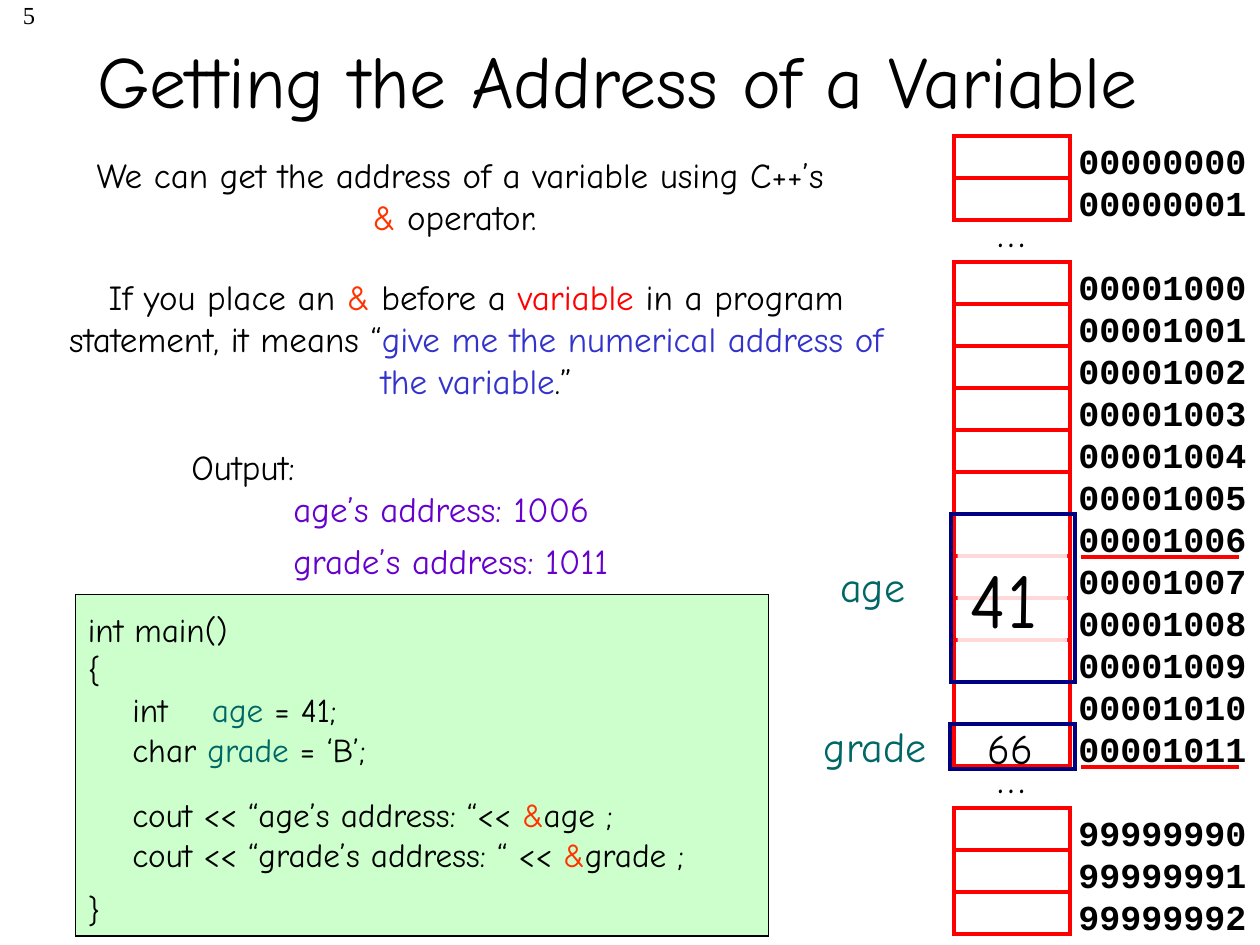
from dataclasses import dataclass

from pptx import Presentation
from pptx import util as u
from pptx.dml.color import RGBColor
from pptx.enum import shapes, text
from pptx.oxml import ns
from lxml import etree

In = u.Inches
MID = text.PP_ALIGN.CENTER
LEFT = text.PP_ALIGN.LEFT
RIGHT = text.PP_ALIGN.RIGHT


@dataclass(frozen=True)
class Theme:
    body: str = "Comic Neue"
    mono: str = "Courier New"
    serif: str = "Times New Roman"
    black: str = "000000"
    white: str = "FFFFFF"
    red: str = "FF0000"
    amp: str = "FF3300"
    blue: str = "3333CC"
    navy: str = "000080"
    teal: str = "006666"
    violet: str = "6600CC"
    mint: str = "CCFFCC"
    title: int = 42
    value: int = 44
    label: int = 24
    text: int = 20
    code: int = 19
    page: int = 14
    lead: float = 1.2
    thick: float = 2.25
    thin: float = 0.75


T = Theme()


def rgb(code):
    return RGBColor.from_string(code)


def assign(obj, vals):
    for key, val in vals.items():
        setattr(obj, key, val)


def write(slide, box, lines, size=T.text, color=T.black, font=T.body,
          bold=False, align=LEFT, wrap=True, gaps=None, **frame):
    """Each line is a string or a list of strings and (string, color) pairs."""
    item = slide.shapes.add_textbox(*map(In, box))
    body = item.text_frame
    assign(body, {"word_wrap": wrap, **frame})
    for i, line in enumerate(lines):
        para = body.paragraphs[0] if i == 0 else body.add_paragraph()
        assign(para, {"alignment": align, "line_spacing": u.Pt(size * T.lead),
                      "space_before": u.Pt((gaps or {}).get(i, 0))})
        for part in [line] if isinstance(line, str) else line:
            words, tint = (part, color) if isinstance(part, str) else part
            run = para.add_run()
            run.text = words
            assign(run.font, {"name": font, "size": u.Pt(size), "bold": bold})
            run.font.color.rgb = rgb(tint)
    return item


def rect(slide, box, line, width=T.thick, fill=None):
    item = slide.shapes.add_shape(shapes.MSO_SHAPE.RECTANGLE, *map(In, box))
    item.shadow.inherit = False
    if fill:
        item.fill.solid()
        item.fill.fore_color.rgb = rgb(fill)
    else:
        item.fill.background()
    item.line.color.rgb = rgb(line)
    item.line.width = u.Pt(width)
    edge = item._element.spPr.find(ns.qn("a:ln"))
    etree.SubElement(edge, ns.qn("a:miter"), lim="800000")


def rule(slide, x, y, w):
    item = slide.shapes.add_connector(shapes.MSO_CONNECTOR.STRAIGHT,
                                      In(x), In(y), In(x + w), In(y))
    item.line.color.rgb = rgb(T.red)
    item.line.width = u.Pt(T.thick)
    etree.SubElement(item._element.spPr, ns.qn("a:effectLst"))


def header(slide, x, y, w, h):
    write(slide, (x + 0.08, y, 0.2, 0.25), ["5"], T.page, font=T.serif,
          align=RIGHT, margin_left=0, margin_right=0, margin_top=0)
    write(slide, (x, y, w, h), ["Getting the Address of a Variable"], T.title,
          align=MID, vertical_anchor=text.MSO_ANCHOR.MIDDLE)


def notes(slide, x, y):
    amp = ("&", T.amp)
    write(slide, (x + 0.19, y, 6.15, 0.77),
          [["We can get the address of a variable using C++’s ", amp,
            " operator. "]], align=MID)
    write(slide, (x, y + 0.97, 6.78, 1.11),
          [["If you place an ", amp, " before a ", ("variable", T.red),
            " in a program statement, it means “",
            ("give me the numerical address of the variable", T.blue),
            ".”"]], align=MID)


def output(slide, x, y):
    write(slide, (x, y, 1.22, 0.44), ["Output:"], align=MID, wrap=False)
    lines = ["age’s address: 1006", "grade’s address: 1011"]
    for i, line in enumerate(lines):
        write(slide, (x + 0.91, y + 0.33 + 0.41 * i, 4.02, 0.44), [line],
              color=T.violet)


def code(slide, x, y, w, h):
    rect(slide, (x, y, w, h), T.black, T.thin, T.mint)
    amp = ("&", T.amp)
    lines = [
        "int main()",
        "{",
        ["    int    ", ("age", T.teal), " = 41;"],
        ["    char ", ("grade ", T.teal), "= ‘B’;"],
        ["    cout << “age’s address: “<< ", amp, "age ;"],
        ["    cout << “grade’s address: “ << ", amp, "grade ;"],
        "}",
    ]
    write(slide, (x, y + 0.07, w, h - 0.07), lines, T.code,
          gaps={4: 14.5, 6: 8.5})


def memory(slide, x, y):
    wide, step = 0.92, 1 / 3
    # Rows of cells with their addresses: row offset, first address, count
    blocks = [(0, 0, 2), (3, 1000, 12), (16, 99999990, 3)]
    for row, first, count in blocks:
        top = y + row * step
        for i in range(count):
            rect(slide, (x, top + i * step, wide, step), T.red)
        write(slide, (x + 0.89, top - 0.02, 1.53, 0.1 + count * step),
              [f"{first + i:08d}" for i in range(count)],
              font=T.mono, bold=True, margin_right=0)
    for row in (1.5, 14.5):
        write(slide, (x + 0.25, y + row * step, 0.43, 0.5), ["…"], T.label,
              wrap=False)

    # Variable age: four bytes under a veil
    top = y + 9 * step
    write(slide, (x - 1, top + 0.32, 0.72, 0.51), ["age"], T.label, T.teal,
          wrap=False)
    rect(slide, (x - 0.02, top, 0.98, 4 * step), T.navy)
    veil = write(slide, (x + 0.03, top + 0.25, 0.87, 0.83), ["41"], T.value)
    veil.fill.solid()
    veil.fill.fore_color.rgb = rgb(T.white)
    tint = veil._element.spPr.find(".//" + ns.qn("a:srgbClr"))
    etree.SubElement(tint, ns.qn("a:alpha"), val="85000")

    # Variable grade: one byte
    top = y + 14 * step
    write(slide, (x - 1.13, top - 0.08, 1.02, 0.51), ["grade"], T.label,
          T.teal, wrap=False)
    rect(slide, (x - 0.03, top, 0.99, 0.36), T.navy)
    write(slide, (x + 0.17, top - 0.06, 0.61, 0.5), ["66"], T.label,
          wrap=False)

    # Underlined addresses
    for row in (10, 15):
        rule(slide, x + 1.01, y + row * step + 0.01, 1.25)


def main():
    deck = Presentation()
    assign(deck, {"slide_width": In(10), "slide_height": In(7.5)})
    slide = deck.slides.add_slide(deck.slide_layouts[6])
    header(slide, 0, 0, 9.8, 1.25)
    notes(slide, 0.39, 1.17)
    output(slide, 1.32, 3.49)
    code(slide, 0.6, 4.72, 5.5, 2.71)
    memory(slide, 7.57, 1.08)
    deck.save("out.pptx")


if __name__ == "__main__":
    main()
